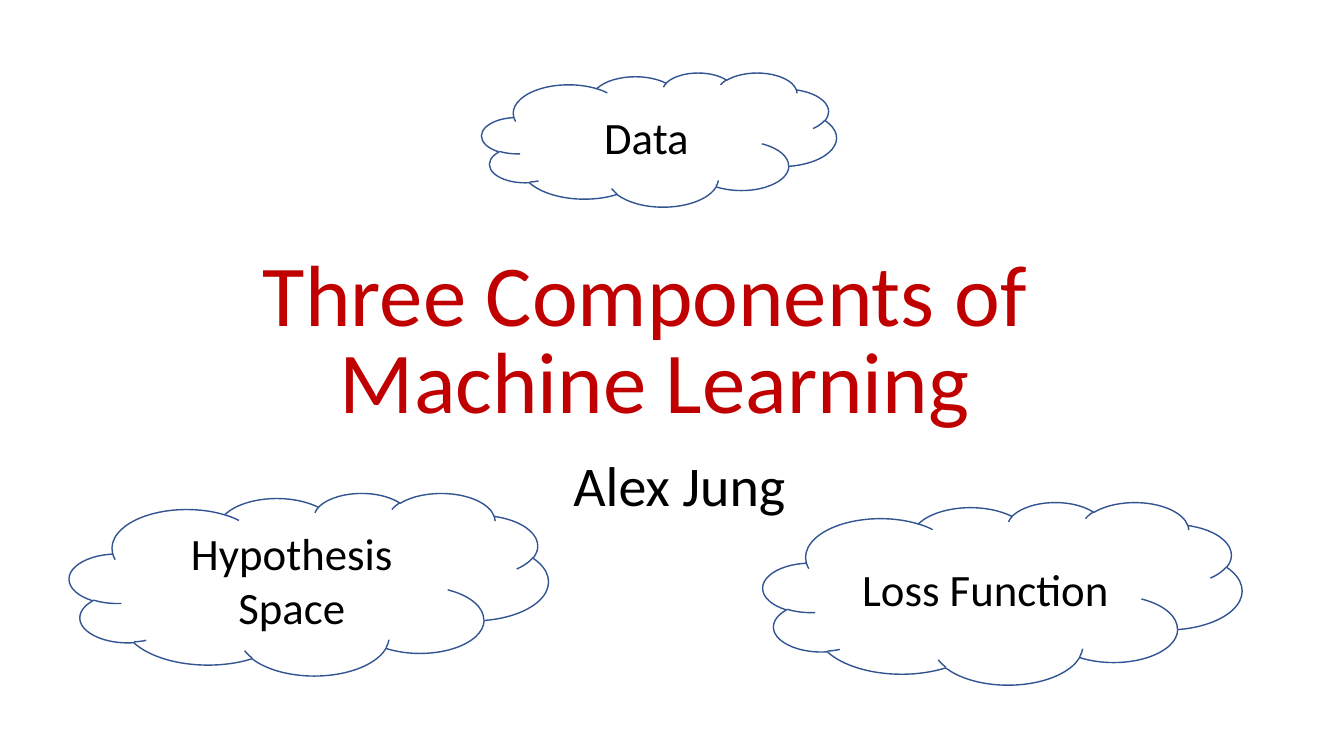
from pptx import Presentation
from pptx.dml.color import RGBColor
from pptx.enum.shapes import MSO_SHAPE
from pptx.enum.text import MSO_ANCHOR, MSO_AUTO_SIZE, PP_ALIGN
from pptx.util import Cm, Pt

CLOUD = MSO_SHAPE.CLOUD
CENTER, LEFT = PP_ALIGN.CENTER, PP_ALIGN.LEFT
MIDDLE = MSO_ANCHOR.MIDDLE
FIT_SHAPE = MSO_AUTO_SIZE.SHAPE_TO_FIT_TEXT

RED = RGBColor(0xC0, 0x00, 0x00)
BLACK = RGBColor(0x00, 0x00, 0x00)
BLUE = RGBColor(0x32, 0x54, 0x91)

TITLE_SPACING = {"line_spacing": 0.7, "space_before": Pt(10)}

# Boxes are left, top, width, height in centimetres.
TITLE_BOX = (3.81, 6.63, 25.4, 4.6)
AUTHOR_BOX = (14.2, 11.23, 5.92, 1.96)
COMPONENTS = [
    ("Data", (12.14, 1.83, 8.94, 3.38)),
    ("Hypothesis Space", (1.75, 12.42, 12.07, 4.6)),
    ("Loss Function", (19.23, 12.65, 12.07, 4.6)),
]


def write_line(p, text, size, color, **paragraph_format):
    for name, value in paragraph_format.items():
        setattr(p, name, value)
    r = p.add_run()
    r.text = text
    for name, value in {"name": "Calibri", "size": Pt(size)}.items():
        setattr(r.font, name, value)
    r.font.color.rgb = color


def add_title(s, box, lines):
    tf = s.shapes.add_textbox(*map(Cm, box)).text_frame
    tf.word_wrap = True
    for i, line in enumerate(lines):
        p = tf.add_paragraph() if i else tf.paragraphs[0]
        write_line(p, line, 62, RED, alignment=CENTER, **TITLE_SPACING)


def add_author(s, box, author):
    tf = s.shapes.add_textbox(*map(Cm, box)).text_frame
    tf.word_wrap = False
    tf.auto_size = FIT_SHAPE
    write_line(tf.paragraphs[0], author, 40, BLACK, alignment=LEFT)


def add_cloud(s, box, label):
    sp = s.shapes.add_shape(CLOUD, *map(Cm, box))
    sp.shadow.inherit = False
    sp.fill.background()
    sp.line.color.rgb = BLUE
    sp.line.width = Pt(1)
    tf = sp.text_frame
    tf.word_wrap = True
    tf.vertical_anchor = MIDDLE
    write_line(tf.paragraphs[0], label, 32, BLACK, alignment=CENTER)


def main():
    prs = Presentation()
    prs.slide_width, prs.slide_height = Cm(33.87), Cm(19.05)
    s = prs.slides.add_slide(prs.slide_layouts[6])
    add_title(s, TITLE_BOX, ["Three Components of ", "Machine Learning"])
    add_author(s, AUTHOR_BOX, "Alex Jung")
    for label, box in COMPONENTS:
        add_cloud(s, box, label)
    prs.save("out.pptx")


if __name__ == "__main__":
    main()
